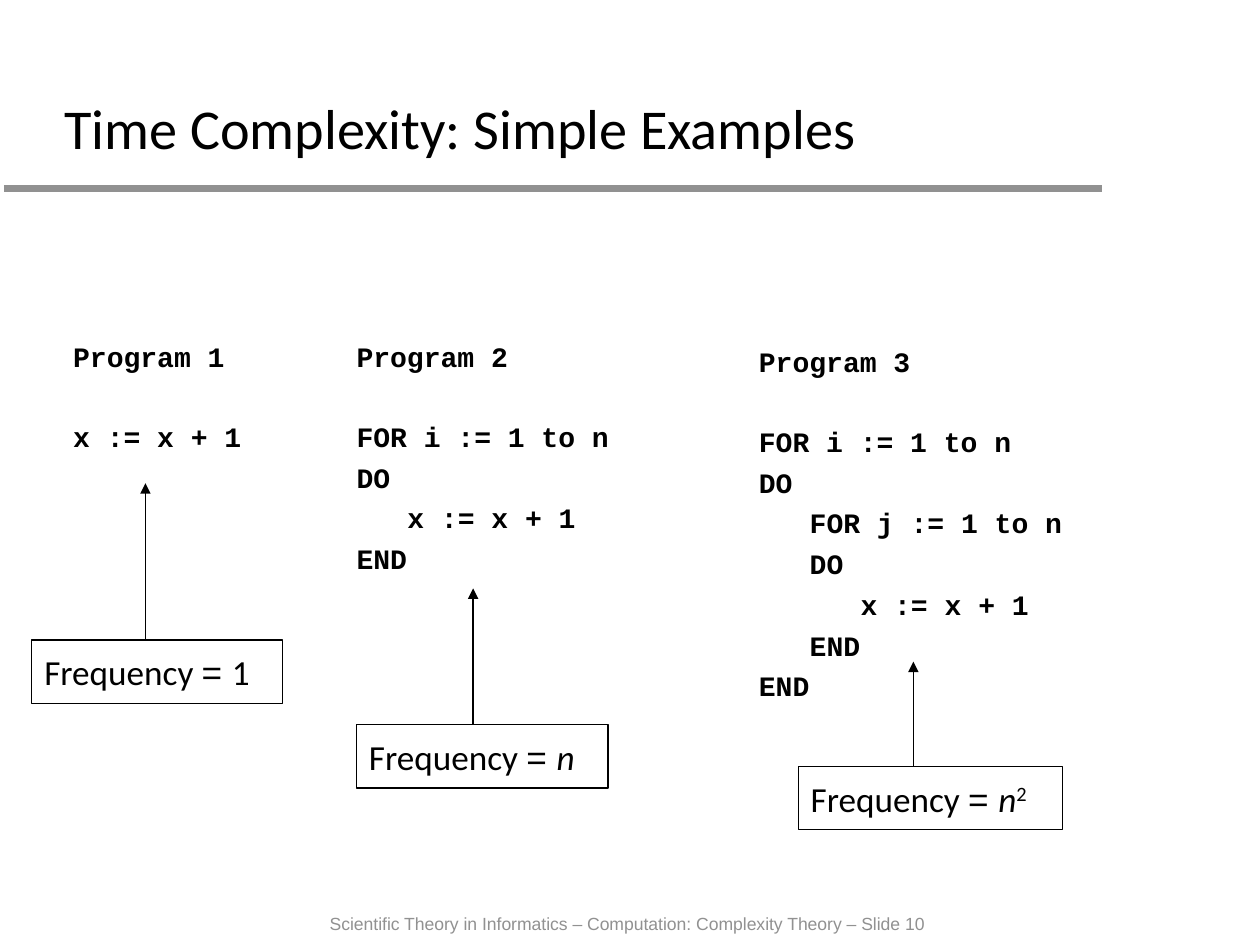
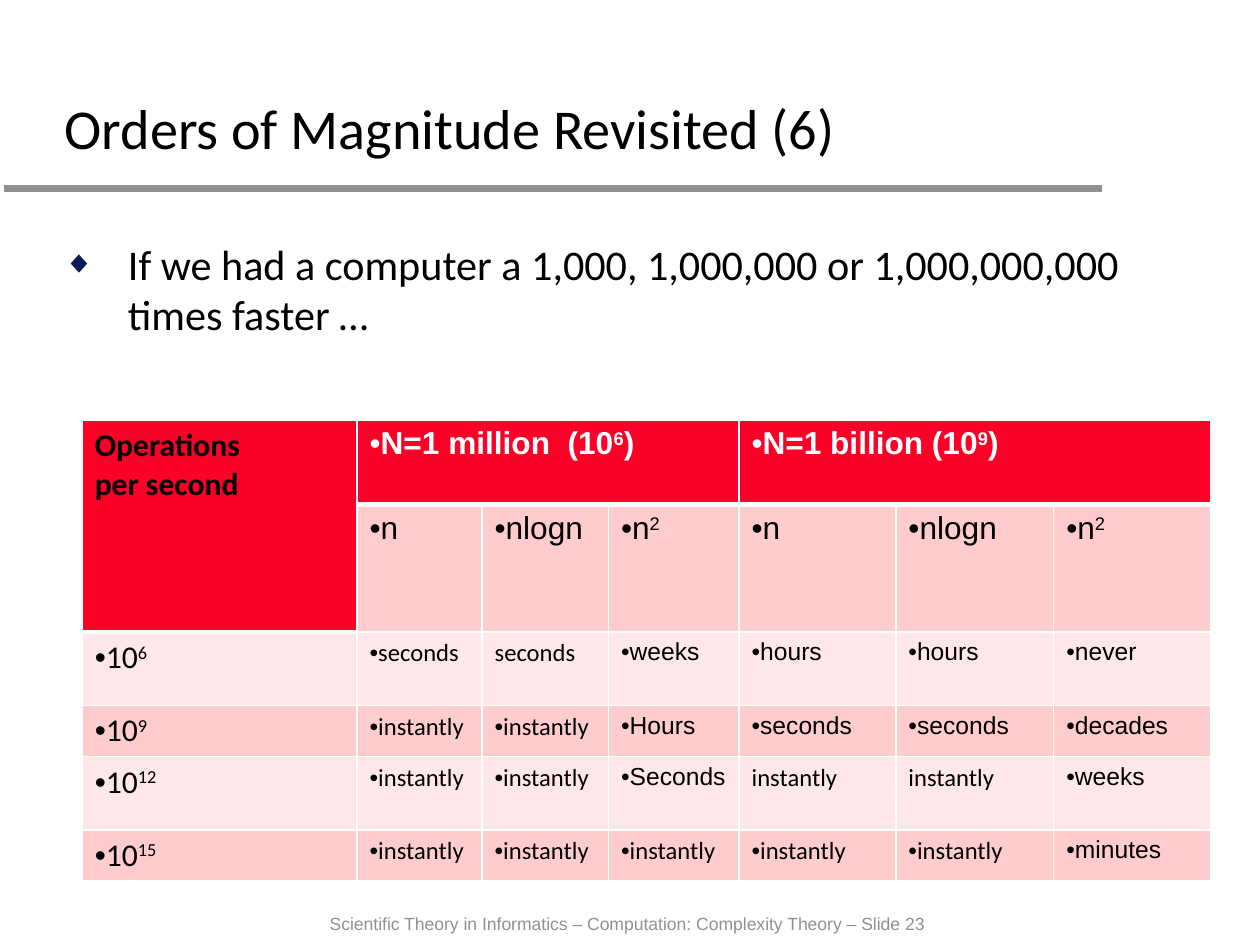
import pptx
import pptx.util
import pptx.dml.color
import pptx.enum.text
import pptx.enum.shapes
import pptx.oxml
import pptx.oxml.ns
import lxml.etree

Cm = pptx.util.Cm
Pt = pptx.util.Pt
qn = pptx.oxml.ns.qn
anchor = pptx.enum.text.MSO_ANCHOR
left = pptx.enum.text.PP_ALIGN.LEFT

BLACK, WHITE, GREY = "000000", "FFFFFF", "919191"
RED, PINK, PALE, NAVY = "FC0128", "FECCCD", "FEE7E8", "081D58"
SANS, BODY, CODE = "Arial", "Calibri", "Courier New"


def color(code):
    return pptx.dml.color.RGBColor.from_string(code)


def style(par, size, face, tint=BLACK, bold=False):
    par.alignment = left
    font = par.font
    font.size, font.name, font.bold = Pt(size), face, bold
    font.color.rgb = color(tint)


def write(par, text):
    for i, part in enumerate(text.split("^")):
        if part:
            run = par.add_run()
            run.text = part
            if i % 2:
                run._r.get_or_add_rPr().set("baseline", "30000")


def bullet(par, mark, tint, scale=100, hang=0):
    props = par._p.get_or_add_pPr()
    props.set("marL", str(Cm(hang)))
    props.set("indent", str(-Cm(hang)))
    tags = (("buClr", {}), ("buSzPct", {"val": str(scale * 1000)}),
            ("buFont", {"typeface": SANS}), ("buChar", {"char": mark}))
    nodes = [lxml.etree.Element(qn("a:" + tag), attrs) for tag, attrs in tags]
    lxml.etree.SubElement(nodes[0], qn("a:srgbClr"), val=tint)
    for i, node in enumerate(nodes):
        spot = len(props.findall(qn("a:lnSpc")) + props.findall(qn("a:spcBef")))
        props.insert(spot + i, node)


def text_box(slide, box, wrap=True):
    frame = slide.shapes.add_textbox(*map(Cm, box)).text_frame
    frame.word_wrap = wrap
    return frame


def line(slide, ends, tint, width, arrow=False):
    kind = pptx.enum.shapes.MSO_CONNECTOR.STRAIGHT
    link = slide.shapes.add_connector(kind, *map(Cm, ends))
    link.line.color.rgb = color(tint)
    link.line.width = Pt(width)
    if arrow:
        lxml.etree.SubElement(link.line._get_or_add_ln(), qn("a:tailEnd"), type="triangle")
    lxml.etree.SubElement(link._element.spPr, qn("a:effectLst"))


def base(deck, title, number):
    slide = deck.slides.add_slide(deck.slide_layouts[5])
    line(slide, (0.08, 3.78, 22.12, 3.78), GREY, 4)
    par = text_box(slide, (6.37, 18.21, 13, 0.69), False).paragraphs[0]
    write(par, f"Scientific Theory in Informatics – Computation: Complexity Theory – Slide {number}")
    style(par, 10, SANS, GREY)
    head = slide.shapes.title
    head.left, head.top, head.width, head.height = map(Cm, (1.04, 0.74, 23.24, 2.62))
    frame = head.text_frame
    frame.auto_size = pptx.enum.text.MSO_AUTO_SIZE.NONE
    frame.vertical_anchor = anchor.BOTTOM
    frame.text = title
    style(frame.paragraphs[0], 32, BODY)
    return slide


def program(slide, box, name, code):
    frame = text_box(slide, box, False)
    for i, (depth, text) in enumerate([(0, name)] + code):
        par = frame.add_paragraph() if i else frame.paragraphs[0]
        write(par, text)
        style(par, 16, CODE, bold=True)
        par.space_before = Pt(26.5 if i == 1 else 4)
        if depth:
            par._p.get_or_add_pPr().set("marL", str(Cm(1.02 * depth)))


def count(slide, box, value, tip):
    x, y = tip
    line(slide, (x, box[1], x, y), BLACK, 0.75, True)
    kind = pptx.enum.shapes.MSO_SHAPE.RECTANGLE
    shape = slide.shapes.add_shape(kind, *map(Cm, box))
    shape.shadow.inherit = False
    shape.fill.background()
    shape.line.color.rgb = color(BLACK)
    shape.line.width = Pt(0.75)
    frame = shape.text_frame
    frame.vertical_anchor = anchor.MIDDLE
    par = frame.paragraphs[0]
    for part in ("Frequency ", "= ", value):
        write(par, part)
    style(par, 20, BODY)
    par.runs[1].font.name = SANS
    par.runs[2].font.italic = value.startswith("n")


def edge(cell, thick):
    props = cell._tc.get_or_add_tcPr()
    for i, side in enumerate(("lnL", "lnR", "lnT", "lnB")):
        width = 3 if thick and side == "lnB" else 1
        rim = lxml.etree.Element(qn("a:" + side), w=str(Pt(width)))
        fill = lxml.etree.SubElement(rim, qn("a:solidFill"))
        lxml.etree.SubElement(fill, qn("a:srgbClr"), val=WHITE)
        props.insert(i, rim)


def timing(slide, box, cols, rows, data, plain):
    grid = slide.shapes.add_table(len(rows), len(cols), *map(Cm, box)).table
    grid.first_row = grid.horz_banding = False
    for col, width in zip(grid.columns, cols):
        col.width = Cm(width)
    for row, height in zip(grid.rows, rows):
        row.height = Cm(height)
    for r, texts in enumerate(data):
        for c, text in enumerate(texts):
            cell = grid.cell(r, c)
            head = r == 0 or (r == 1 and c == 0)
            cell.fill.solid()
            cell.fill.fore_color.rgb = color(RED if head else PINK if r % 2 else PALE)
            edge(cell, head)
            if not text:
                continue
            par = cell.text_frame.paragraphs[0]
            calm = c == 0 or (r > 1 and (c < 3 or text == "instantly"))
            if (r, c) == (0, 0):
                par.text = text
            else:
                write(par, text)
            style(par, 18 if r < 2 or c == 0 else 14, BODY if calm else SANS,
                  WHITE if r == 0 and c else BLACK, head)
            if (r, c) not in plain:
                bullet(par, "•", WHITE if r == 0 else BLACK)
    grid.cell(0, 0).merge(grid.cell(1, 0))
    for c in (1, 4):
        grid.cell(0, c).merge(grid.cell(0, c + 2))


def examples(deck):
    slide = base(deck, "Time Complexity: Simple Examples", 10)
    step, loop = "x := x + 1", "FOR {} := 1 to n"
    first, inner = loop.format("i"), loop.format("j")
    program(slide, (1.22, 6.68, 4.06, 2.59), "Program 1", [(0, step)])
    program(slide, (6.91, 6.68, 5.79, 5.05), "Program 2",
            [(0, first), (0, "DO"), (1, step), (0, "END")])
    program(slide, (14.99, 6.78, 6.68, 7.52), "Program 3",
            [(0, first), (0, "DO"), (1, inner), (1, "DO"),
             (2, step), (1, "END"), (0, "END")])
    count(slide, (0.64, 12.85, 5.03, 1.27), "1", (2.92, 9.7))
    count(slide, (7.16, 14.55, 5.05, 1.27), "n", (9.5, 11.81))
    count(slide, (16.03, 15.39, 5.31, 1.27), "n^2", (18.34, 13.28))


def orders(deck):
    slide = base(deck, "Orders of Magnitude Revisited (6)", 23)
    par = text_box(slide, (1.02, 4.65, 23.32, 2.6)).paragraphs[0]
    write(par, "If we had a computer a 1,000, 1,000,000 or 1,000,000,000 times faster …")
    style(par, 24, BODY)
    par.space_before = Pt(3)
    bullet(par, "◆", NAVY, 75, 1.3)
    now = "instantly"
    data = [
        ["Operations\vper second", "N=1 million  (10^6^)", "", "", "N=1 billion (10^9^)", "", ""],
        [""] + ["n", "nlogn", "n^2"] * 2,
        ["10^6", "seconds", "seconds", "weeks", "hours", "hours", "never"],
        ["10^9", now, now, "Hours", "seconds", "seconds", "decades"],
        ["10^12", now, now, "Seconds", now, now, "weeks"],
        ["10^15"] + [now] * 5 + ["minutes"],
    ]
    cols = (5.52, 2.51, 2.54, 2.62, 3.15, 3.17, 3.15)
    rows = (1.7, 2.56, 1.47, 1.03, 1.47, 1.03)
    timing(slide, (1.65, 8.43, sum(cols), sum(rows)), cols, rows, data,
           {(0, 0), (2, 2), (4, 4), (4, 5)})


deck = pptx.Presentation()
deck.slide_width, deck.slide_height = Cm(25.3), Cm(18.97)
examples(deck)
orders(deck)
deck.save("out.pptx")
